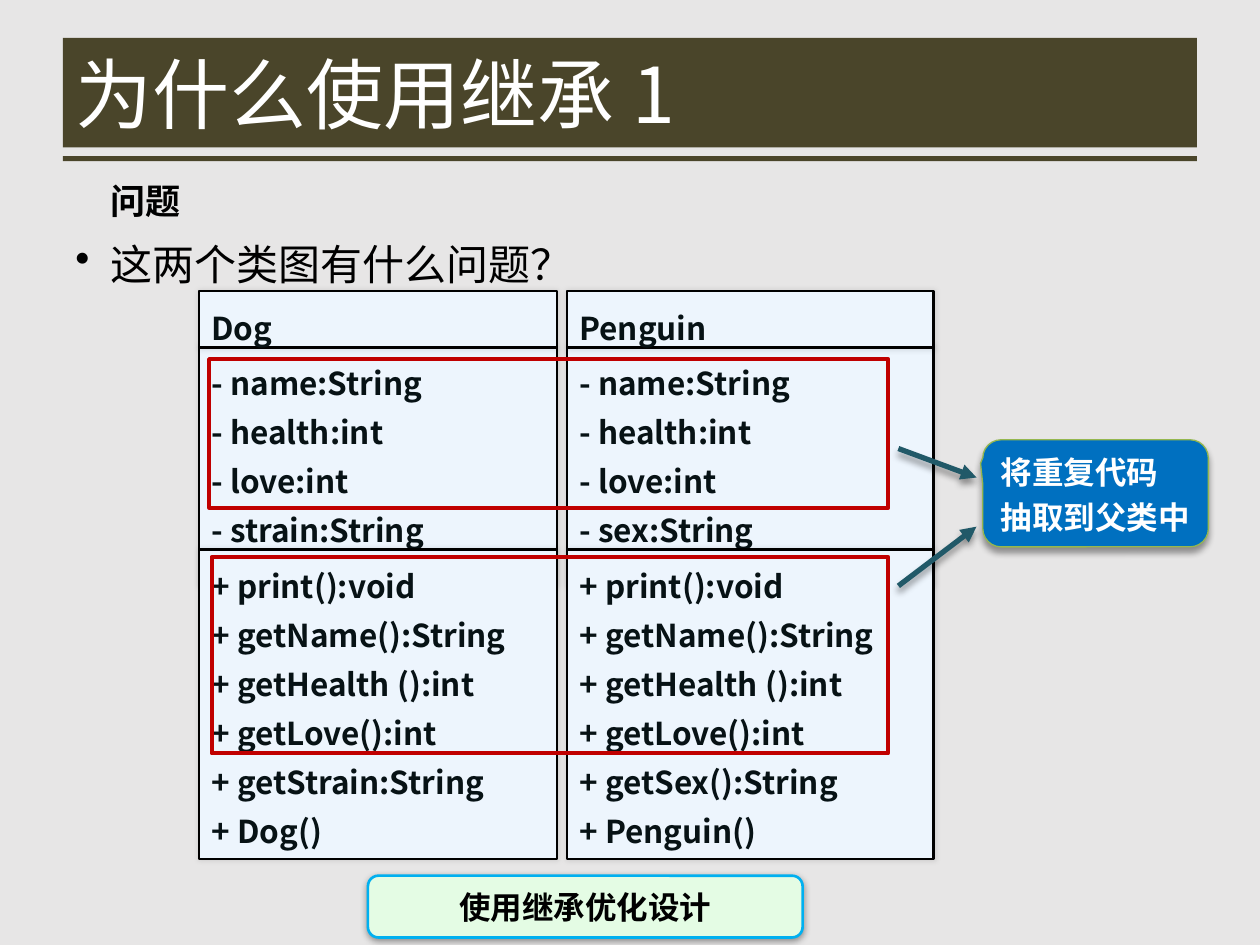
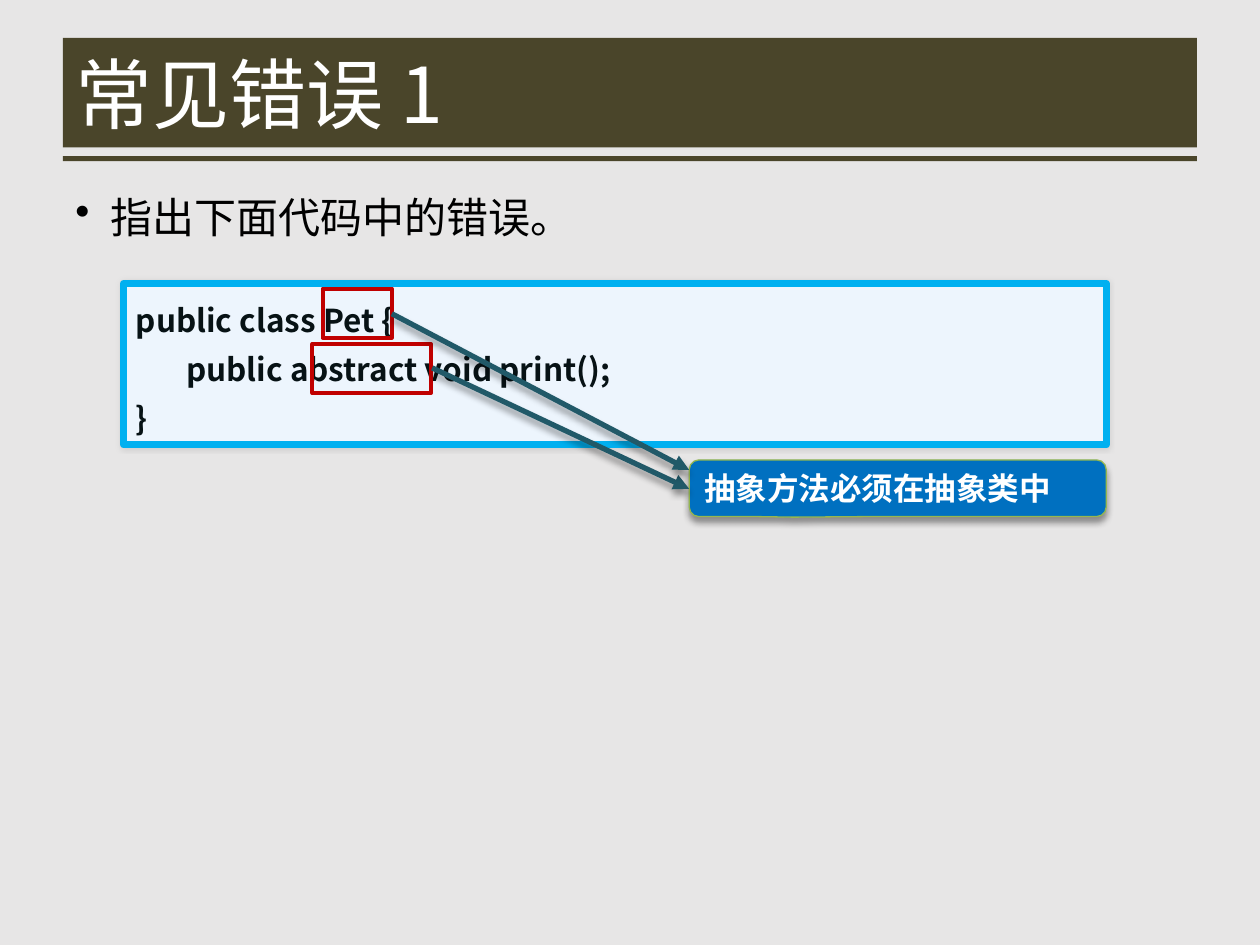
"""Build two slides on class inheritance: duplicated members, and a common abstract-method error."""
import pptx
import pptx.dml.color
import pptx.enum.shapes
import pptx.enum.text
import pptx.oxml
import pptx.oxml.ns
import pptx.util

RGBColor = pptx.dml.color.RGBColor
SHAPE = pptx.enum.shapes.MSO_SHAPE
ANCHOR = pptx.enum.text.MSO_ANCHOR
ALIGN = pptx.enum.text.PP_ALIGN

BACKGROUND = RGBColor(0xE7, 0xE6, 0xE6)
OLIVE = RGBColor(0x4A, 0x45, 0x2A)
WHITE = RGBColor(0xFF, 0xFF, 0xFF)
BLACK = RGBColor(0x00, 0x00, 0x00)
INK = RGBColor(0x07, 0x12, 0x15)
PALE_BLUE = RGBColor(0xED, 0xF5, 0xFD)
PALE_GREEN = RGBColor(0xE4, 0xFC, 0xE4)
SKY = RGBColor(0x00, 0xB0, 0xF0)
BLUE = RGBColor(0x00, 0x70, 0xC0)
LIME = RGBColor(0x95, 0xB7, 0x4F)
RED = RGBColor(0xC0, 0x00, 0x00)
TEAL = RGBColor(0x21, 0x59, 0x68)

NOTO = "Noto Sans CJK SC"
COLUMNS, ROWS = 100, 75
SOFT = {"alpha": 10, "blur": 3, "distance": 0, "angle": 0}
DROP = {"alpha": 40, "blur": 4, "distance": 3, "angle": 90}
LOW_DROP = {**DROP, "distance": 1}

BAND = {"fill": OLIVE, "font": {"size": 44, "color": WHITE}, "frame": {"vertical_anchor": ANCHOR.MIDDLE}}
BODY = {"font": {"size": 24, "color": BLACK}, "bullet": "•", "margin": 2.8, "indent": -2.8}
HEADING = {"font": {"size": 20, "color": BLACK, "bold": True},
           "frame": {"vertical_anchor": ANCHOR.MIDDLE, "word_wrap": False}}
CODE = {"fill": PALE_BLUE, "line": BLACK, "width": 1.5, "shadow": SOFT,
        "font": {"size": 18, "color": INK, "bold": True}, "para": {"line_spacing": 1.3}}
MARK = {"line": RED, "width": 2.25}
CALLOUT = {"fill": BLUE, "line": LIME, "width": 0.75, "shadow": DROP,
           "font": {"size": 18, "color": WHITE, "bold": True, "name": "Arial"},
           "frame": {"vertical_anchor": ANCHOR.MIDDLE}, "para": {"space_before": pptx.util.Pt(3.6)}}
SUMMARY = {"fill": PALE_GREEN, "line": SKY, "width": 1.5, "shadow": LOW_DROP,
           "font": {"size": 18, "color": BLACK, "bold": True},
           "frame": {"vertical_anchor": ANCHOR.MIDDLE}, "para": {"alignment": ALIGN.CENTER}}

deck = pptx.Presentation()
deck.slide_width = pptx.util.Inches(10)
deck.slide_height = pptx.util.Inches(7.5)
column = deck.slide_width / COLUMNS
row = deck.slide_height / ROWS


def add_shadow(item, shadow):
    """Give a shape or connector an outer shadow."""
    item._element.spPr.append(pptx.oxml.parse_xml(
        f'<a:effectLst {pptx.oxml.ns.nsdecls("a")}>'
        f'<a:outerShdw blurRad="{pptx.util.Pt(shadow["blur"])}" dist="{pptx.util.Pt(shadow["distance"])}" '
        f'dir="{shadow["angle"] * 60000}" algn="ctr" rotWithShape="0"><a:srgbClr val="{BLACK}">'
        f'<a:alpha val="{shadow["alpha"] * 1000}"/></a:srgbClr></a:outerShdw></a:effectLst>'))


def add_box(page, kind, left, top, width, height, style, lines=(), adjustments=()):
    """Add a shape, or a text box when kind is None, placed in grid cells."""
    place = [int(value) for value in (left * column, top * row, width * column, height * row)]
    box = page.shapes.add_shape(kind, *place) if kind else page.shapes.add_textbox(*place)
    if kind:
        for index, value in enumerate(adjustments):
            box.adjustments[index] = value
        if "fill" in style:
            box.fill.solid()
            box.fill.fore_color.rgb = style["fill"]
        else:
            box.fill.background()
        if "line" in style:
            box.line.color.rgb = style["line"]
            box.line.width = pptx.util.Pt(style["width"])
        else:
            box.line.fill.background()
        if "shadow" in style:
            add_shadow(box, style["shadow"])
        else:
            box.shadow.inherit = False
    frame = box.text_frame
    for name, value in {"word_wrap": True, "vertical_anchor": ANCHOR.TOP, **style.get("frame", {})}.items():
        setattr(frame, name, value)
    for index, line in enumerate(lines):
        para = frame.paragraphs[0] if index == 0 else frame.add_paragraph()
        for name, value in {"alignment": ALIGN.LEFT, **style.get("para", {})}.items():
            setattr(para, name, value)
        properties = para._p.get_or_add_pPr()
        if "bullet" in style:
            properties.set("marL", str(int(style["margin"] * column)))
            properties.set("indent", str(int(style["indent"] * column)))
            properties.append(pptx.oxml.parse_xml(
                f'<a:buChar {pptx.oxml.ns.nsdecls("a")} char="{style["bullet"]}"/>'))
        span = para.add_run()
        span.text = line
        font = {"name": NOTO, "bold": False, **style["font"]}
        span.font.color.rgb = font.pop("color")
        span.font.size = pptx.util.Pt(font.pop("size"))
        for name, value in font.items():
            setattr(span.font, name, value)
        span.font._element.append(pptx.oxml.parse_xml(
            f'<a:ea {pptx.oxml.ns.nsdecls("a")} typeface="{NOTO}"/>'))
    return box


pages = []
for title, question, body_top in (("为什么使用继承 1", "这两个类图有什么问题？", 18.4),
                                  ("常见错误 1", "指出下面代码中的错误。", 14.7)):
    page = deck.slides.add_slide(deck.slide_layouts[6])
    page.background.fill.solid()
    page.background.fill.fore_color.rgb = BACKGROUND
    add_box(page, SHAPE.RECTANGLE, 5, 3, 90, 8.7, BAND, [title])
    add_box(page, SHAPE.RECTANGLE, 5, 12.4, 90, 0.4, BAND)
    add_box(page, None, 5, body_top, 90, 67 - body_top, BODY, [question])
    pages.append(page)
reason_page, error_page = pages

shared_fields = ["- name:String", "- health:int", "- love:int"]
shared_methods = ["+ print():void", "+ getName():String", "+ getHealth ():int", "+ getLove():int"]
for class_name, left, width, own_field, own_getter in (
        ("Dog", 15.8, 28.4, "- strain:String", "+ getStrain:String"),
        ("Penguin", 45, 29.1, "- sex:String", "+ getSex():String")):
    for top, height, lines in (
            (27.5, 19, shared_fields + [own_field]),
            (23.1, 4.5, [class_name]),
            (43.6, 24.6, shared_methods + [own_getter, f"+ {class_name}()"])):
        add_box(reason_page, SHAPE.RECTANGLE, left, top, width, height, CODE, lines)

add_box(reason_page, SHAPE.ROUNDED_RECTANGULAR_CALLOUT, 78, 34.9, 17.9, 8.5,
        {**CALLOUT, "frame": {"vertical_anchor": ANCHOR.BOTTOM, "word_wrap": False}},
        ["将重复代码", "抽取到父类中"], (-0.51, -0.28, 0.17))
add_box(reason_page, None, 7.8, 13.7, 7.7, 4.4, HEADING, ["问题"])
add_box(reason_page, SHAPE.ROUNDED_RECTANGLE, 29.2, 69.5, 34.5, 4.9, SUMMARY, ["使用继承优化设计"], (0.17,))

code_box = add_box(error_page, SHAPE.ROUNDED_RECTANGLE, 9.8, 22.5, 78, 12.8,
                   {**CODE, "line": SKY, "width": 4},
                   ["public class Pet {", "public abstract void print();", "}"], (0,))
code_box.text_frame.paragraphs[1]._p.get_or_add_pPr().set("marL", str(int(4 * column)))
add_box(error_page, SHAPE.ROUNDED_RECTANGULAR_CALLOUT, 54.7, 36.5, 33.1, 4.5, CALLOUT,
        ["抽象方法必须在抽象类中"], (-0.25, 0.51, 0.17))

for page, *place in ((reason_page, 16.6, 28.5, 53.9, 11.8), (reason_page, 16.8, 44.2, 53.7, 15.6),
                     (error_page, 25.6, 22.9, 5.5, 3.9), (error_page, 24.8, 27.3, 9.4, 3.9)):
    add_box(page, SHAPE.RECTANGLE, *place, MARK)

for page, start_x, start_y, end_x, end_y in (
        (reason_page, 71.3, 46.5, 77.5, 41.8), (reason_page, 71.3, 35.6, 77.5, 37.9),
        (error_page, 34.3, 29.2, 54.7, 38.8), (error_page, 31.1, 24.9, 54.7, 37.3)):
    arrow = page.shapes.add_connector(
        pptx.enum.shapes.MSO_CONNECTOR.STRAIGHT,
        int(start_x * column), int(start_y * row), int(end_x * column), int(end_y * row))
    arrow.line.color.rgb = TEAL
    arrow.line.width = pptx.util.Pt(3)
    arrow.line._get_or_add_ln().append(pptx.oxml.parse_xml(
        f'<a:tailEnd {pptx.oxml.ns.nsdecls("a")} type="triangle"/>'))
    add_shadow(arrow, DROP)

deck.save("out.pptx")
